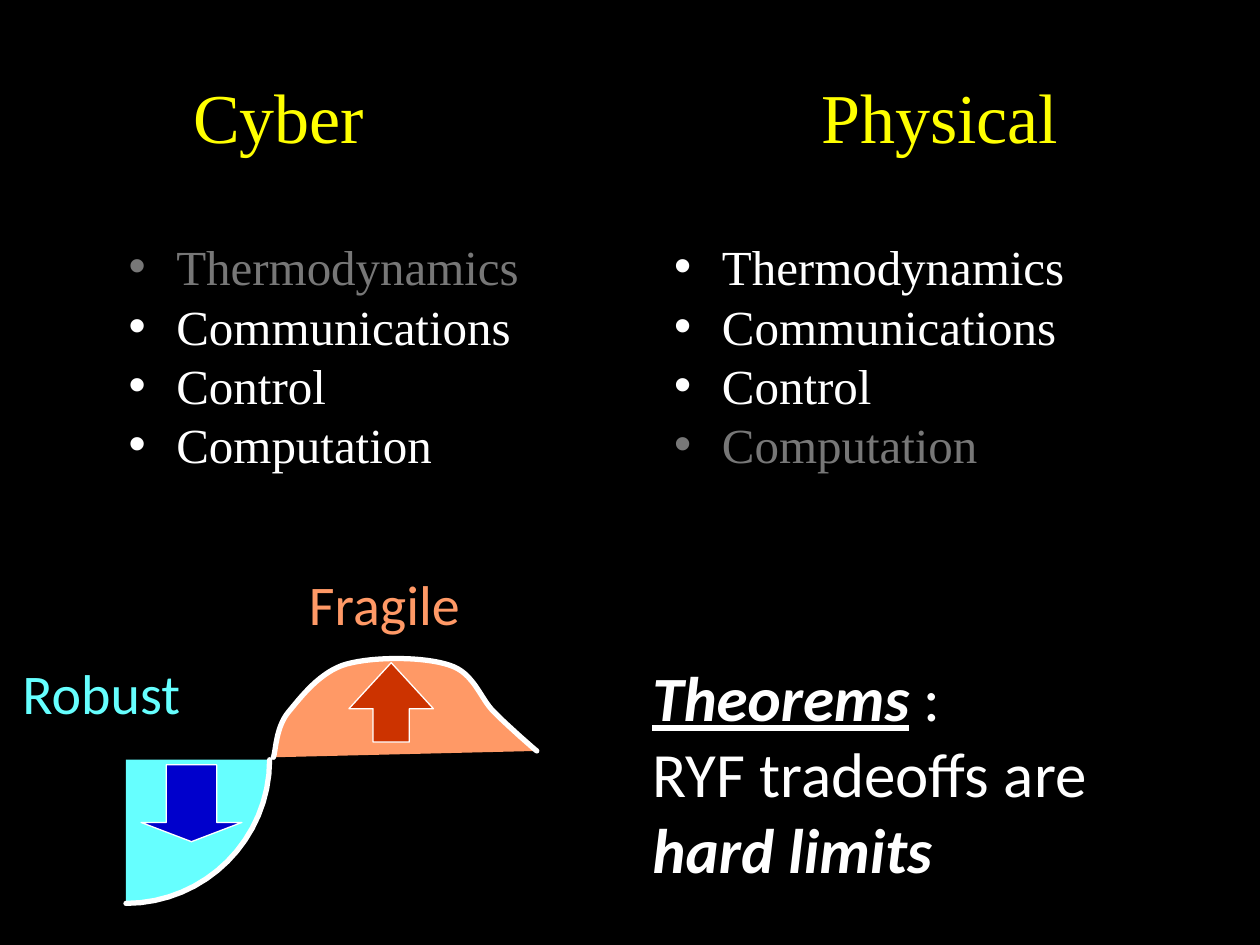
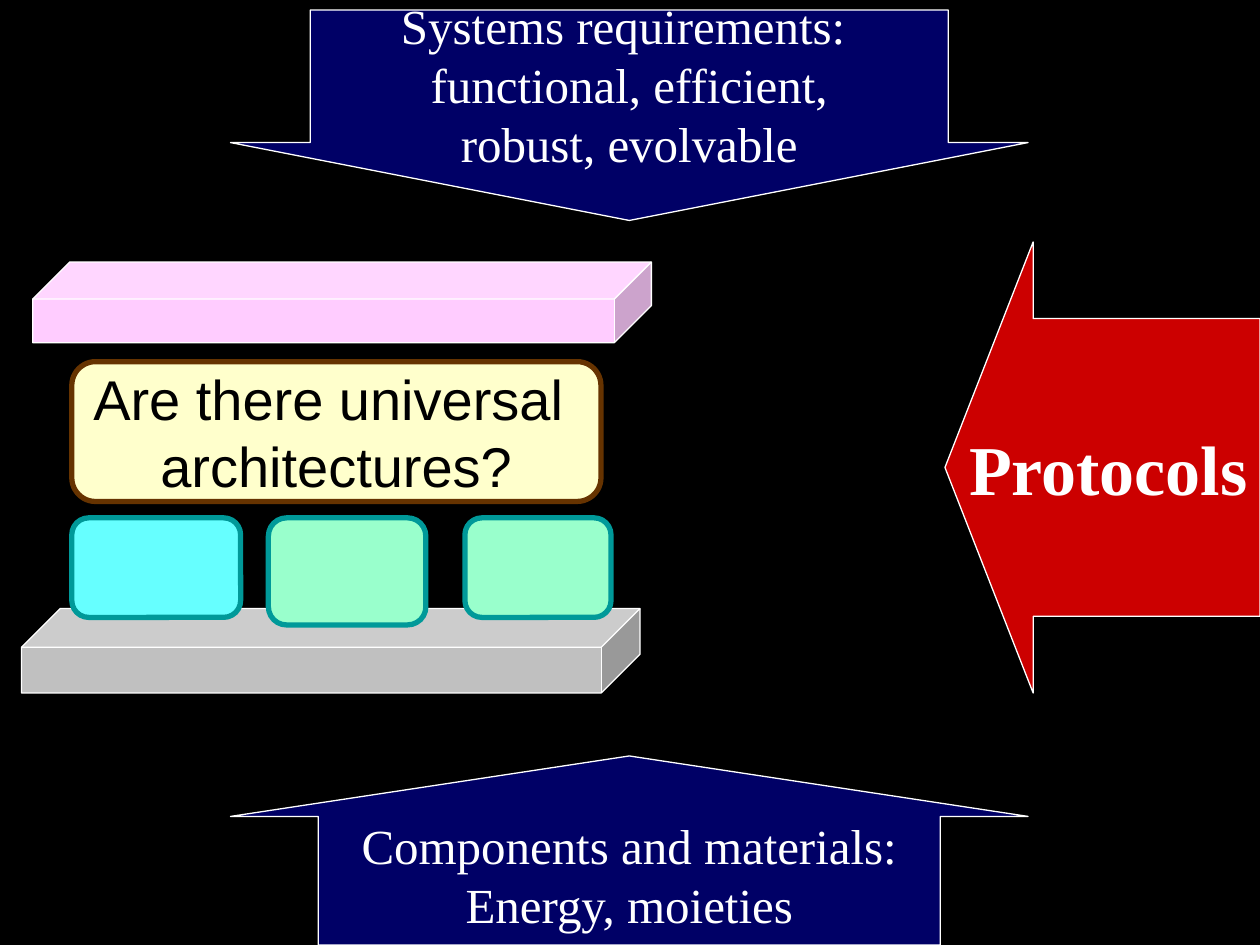
from lxml import etree
from pptx import Presentation
from pptx.dml.color import RGBColor
from pptx.enum.shapes import MSO_SHAPE
from pptx.enum.text import MSO_ANCHOR, MSO_AUTO_SIZE, PP_ALIGN
from pptx.oxml.ns import qn
from pptx.util import Inches, Pt

LEFT, CENTER, RIGHT = PP_ALIGN.LEFT, PP_ALIGN.CENTER, PP_ALIGN.RIGHT
TOP, MIDDLE = MSO_ANCHOR.TOP, MSO_ANCHOR.MIDDLE
UP, DOWN, LEFTWARD = MSO_SHAPE.UP_ARROW, MSO_SHAPE.DOWN_ARROW, MSO_SHAPE.LEFT_ARROW
CUBE, ROUNDED = MSO_SHAPE.CUBE, MSO_SHAPE.ROUNDED_RECTANGLE

# Shared look
BLACK, WHITE, YELLOW, GREY = "000000", "FFFFFF", "FFFF00", "777777"
CYAN, ORANGE, NAVY, MINT, TEAL = "66FFFF", "FF9966", "000066", "99FFCC", "009999"
SERIF, SANS, ARIAL = "Times New Roman", "Calibri", "Arial"
HEADING = dict(size=40, color=YELLOW, align=CENTER, anchor=MIDDLE)

# Slide 1: topics with the one that matters less on each side
TOPICS = ["Thermodynamics", "Communications", "Control", "Computation"]
SIDES = [  # heading, heading box, list box, dimmed topic
    ("Cyber", (0.42, 0.25, 3.58, 1.33), (0.92, 1.92, 3.5, 2.08), "Thermodynamics"),
    ("Physical", (5.42, 0.25, 4.08, 1.33), (5.25, 1.92, 3.5, 2.08), "Computation"),
]
STRONG = dict(bold=True, italic=True)
THEOREMS = [
    [("Theorems", dict(STRONG, underline=True)), (" :", {})],
    [("RYF tradeoffs are ", {}), ("hard limits", STRONG)],
]
# Curves: a start point, then two control points and an end point per segment
FRAGILE_CURVE = [
    (2.17, 6.01),
    (2.19, 5.95), (2.19, 5.77), (2.29, 5.65),
    (2.39, 5.53), (2.54, 5.33), (2.75, 5.27),
    (2.97, 5.21), (3.37, 5.21), (3.57, 5.28),
    (3.76, 5.34), (3.81, 5.54), (3.92, 5.65),
    (4.03, 5.76), (4.2, 5.91), (4.26, 5.96),
]
ROBUST_CURVE = [(2.14, 6.03), (2.14, 6.66), (1.63, 7.17), (1, 7.17)]
ROBUST_CORNER = (1, 6.03)
TRADEOFF_ARROWS = [  # preset, box, adjustments, fill
    (DOWN, (1.12, 6.07, 0.8, 0.61), (0.5, 0.25), "0000CC"),
    (UP, (2.77, 5.26, 0.67, 0.63), (0.43, 0.58), "CC3300"),
]

# Slide 2: constraint arrows
CONSTRAINTS = [  # preset, box, adjustments, fill, lines, text format
    (UP, (1.83, 6, 6.33, 1.5), (0.78, 0.32), NAVY,
     ["Components and materials:", "Energy, moieties"], dict(size=28, align=CENTER)),
    (DOWN, (1.83, 0.08, 6.33, 1.67), (0.8, 0.37), NAVY,
     ["Systems requirements: ", "functional, efficient,", "robust, evolvable"],
     dict(size=28, align=CENTER)),
    (LEFTWARD, (7.5, 1.92, 2.5, 3.58), (0.66, 0.28), "CC0000",
     ["Protocols"], dict(size=40, align=RIGHT, bold=True)),
]
# Layered architecture: preset, box, adjustment, fill, line, line width
LAYERS = [
    (CUBE, (0.17, 4.83, 4.91, 0.67), 0.46, "C0C0C0", WHITE, 0.75),
    (ROUNDED, (3.69, 4.11, 1.16, 0.79), 0.17, MINT, TEAL, 3),
    (ROUNDED, (2.13, 4.11, 1.25, 0.85), 0.17, MINT, TEAL, 3),
    (ROUNDED, (0.57, 4.11, 1.34, 0.79), 0.17, CYAN, TEAL, 3),
    (CUBE, (0.26, 2.08, 4.91, 0.64), 0.46, "FFCCFF", WHITE, 0.75),
]
QUESTION = ["Are there universal ", "architectures?"]
QUESTION_BOX = (0.57, 2.87, 4.2, 1.11)


def rgb(value):
    return RGBColor.from_string(value)


def inches(values):
    return [Inches(v) for v in values]


def write(sp, paragraphs, size=28, font=SERIF, color=WHITE, align=LEFT,
          anchor=TOP, wrap=True, bold=False):
    """Fill a shape; a paragraph is a string or a list of (text, run format)."""
    tf = sp.text_frame
    tf.auto_size = MSO_AUTO_SIZE.NONE
    tf.word_wrap, tf.vertical_anchor = wrap, anchor
    for i, runs in enumerate(paragraphs):
        p = tf.add_paragraph() if i else tf.paragraphs[0]
        p.alignment = align
        for text, style in [(runs, {})] if isinstance(runs, str) else runs:
            r = p.add_run()
            r.text = text
            r.font.name, r.font.size = font, Pt(size)
            r.font.color.rgb = rgb(style.get("color", color))
            r.font.bold = style.get("bold", bold)
            r.font.italic = style.get("italic", False)
            r.font.underline = style.get("underline", False)


def place(sp, box):
    sp.left, sp.top, sp.width, sp.height = inches(box)


def text_box(s, box, paragraphs, **fmt):
    write(s.shapes.add_textbox(*inches(box)), paragraphs, **fmt)


def paint(sp, fill=None, line=None, width=0.75):
    sp.shadow.inherit = False
    if fill:
        sp.fill.solid()
        sp.fill.fore_color.rgb = rgb(fill)
    else:
        sp.fill.background()
    if line:
        sp.line.color.rgb = rgb(line)
        sp.line.width = Pt(width)
    else:
        sp.line.fill.background()


def add_preset(s, preset, box, adjustments, fill, line=WHITE, width=0.75):
    sp = s.shapes.add_shape(preset, *inches(box))
    for i, value in enumerate(adjustments):
        sp.adjustments[i] = value
    paint(sp, fill, line, width)
    return sp


def sample(curve, steps=16):
    """Points along a chain of cubic Bezier segments."""
    points = [curve[0]]
    for i in range(0, len(curve) - 1, 3):
        for t in (k / steps for k in range(1, steps + 1)):
            weights = ((1 - t) ** 3, 3 * t * (1 - t) ** 2, 3 * t * t * (1 - t), t ** 3)
            points.append(tuple(sum(w * pt[axis] for w, pt in zip(weights, curve[i:i + 4]))
                                for axis in (0, 1)))
    return points


def add_outline(s, points, fill=None, line=None, close=False):
    start, *rest = [inches(pt) for pt in points]
    builder = s.shapes.build_freeform(*start)
    builder.add_line_segments(rest, close=close)
    sp = builder.convert_to_shape()
    paint(sp, fill, line, 3)
    sp._element.spPr.find(qn("a:ln")).set("cap", "rnd")


def set_bullet(p, color, first):
    p.line_spacing = 0.8
    p.space_before = Pt(0 if first else 7)
    pPr = p._p.get_or_add_pPr()
    pPr.set("marL", str(Inches(0.38)))
    pPr.set("indent", str(-Inches(0.38)))
    clr = etree.SubElement(pPr, qn("a:buClr"))
    etree.SubElement(clr, qn("a:srgbClr")).set("val", color)
    etree.SubElement(pPr, qn("a:buChar")).set("char", "•")


def build_tradeoffs(prs):
    s = prs.slides.add_slide(prs.slide_layouts[3])
    title, *bodies = s.placeholders

    # Robust and fragile areas
    add_outline(s, sample(FRAGILE_CURVE), ORANGE, WHITE)
    arc = sample(ROBUST_CURVE)
    add_outline(s, arc + [ROBUST_CORNER], CYAN, close=True)
    add_outline(s, arc, line=WHITE)
    for arrow in TRADEOFF_ARROWS:
        add_preset(s, *arrow)
    text_box(s, (0.08, 5.18, 1.46, 0.64), ["Robust"],
             size=32, font=SANS, color=CYAN, wrap=False)
    text_box(s, (1.75, 4.47, 2, 0.64), ["Fragile"],
             size=32, font=SANS, color=ORANGE, align=RIGHT)
    text_box(s, (5.08, 5.18, 4.67, 1.9), THEOREMS, size=36, font=SANS)

    # Headings and topic lists
    for body, (heading, heading_box, list_box, dimmed) in zip(bodies, SIDES):
        if heading == "Cyber":
            place(title, heading_box)
            write(title, [heading], **HEADING)
        else:
            text_box(s, heading_box, [heading], **HEADING)
        place(body, list_box)
        colors = [GREY if topic == dimmed else WHITE for topic in TOPICS]
        write(body, [[(t, dict(color=c))] for t, c in zip(TOPICS, colors)])
        for i, (p, color) in enumerate(zip(body.text_frame.paragraphs, colors)):
            set_bullet(p, color, first=i == 0)


def build_architecture(prs):
    s = prs.slides.add_slide(prs.slide_layouts[6])
    for preset, box, adjustments, fill, lines, fmt in CONSTRAINTS:
        sp = add_preset(s, preset, box, adjustments, fill)
        write(sp, lines, anchor=MIDDLE, wrap=False, **fmt)
    for preset, box, adjustment, fill, line, width in LAYERS:
        add_preset(s, preset, box, [adjustment], fill, line, width)
    sp = add_preset(s, ROUNDED, QUESTION_BOX, [0.17], "FFFFCC", "663300", 3)
    write(sp, QUESTION, size=32, font=ARIAL, color=BLACK,
          align=CENTER, anchor=MIDDLE, wrap=False)


def main():
    prs = Presentation()
    prs.slide_width, prs.slide_height = Inches(10), Inches(7.5)
    background = prs.slide_master.background.fill
    background.solid()
    background.fore_color.rgb = rgb(BLACK)
    build_tradeoffs(prs)
    build_architecture(prs)
    prs.save("out.pptx")


if __name__ == "__main__":
    main()
